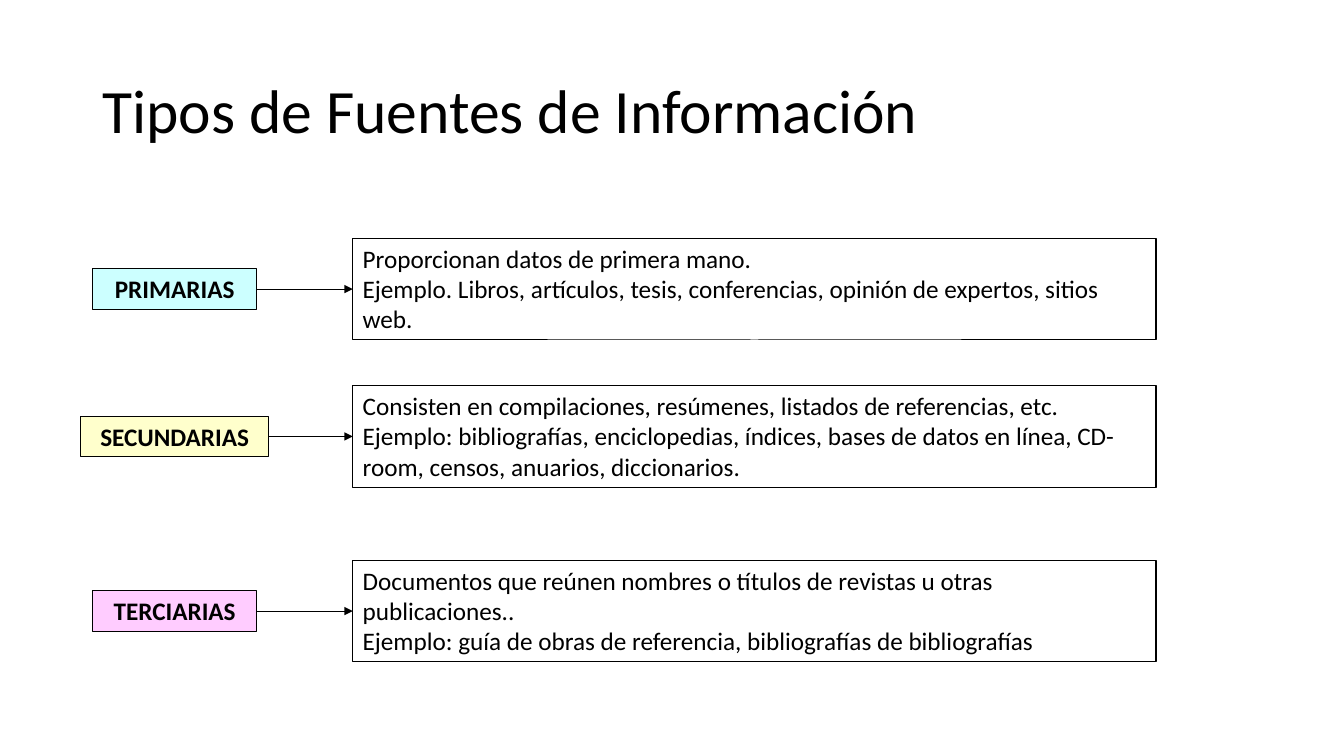
from lxml import etree
from pptx import Presentation, util as u
from pptx.dml.color import RGBColor
from pptx.enum import shapes, text
from pptx.oxml.ns import qn

LABEL_CENTER, LABEL_HEIGHT = 124.8, 29
DETAIL_LEFT, DETAIL_WIDTH, DETAIL_HEIGHT = 252, 573.8, 72.7


def color(value):
    return RGBColor.from_string(value)


def add_box(left, middle, width, height, lines, fill=None):
    shape = slide.shapes.add_shape(
        shapes.MSO_SHAPE.RECTANGLE,
        u.Pt(left), u.Pt(middle - height / 2), u.Pt(width), u.Pt(height))
    shape.shadow.inherit = False
    shape.line.color.rgb = color("000000")
    shape.line.width = u.Pt(0.75)
    if fill:
        shape.fill.solid()
        shape.fill.fore_color.rgb = color(fill)
    else:
        shape.fill.background()
    frame = shape.text_frame
    frame.word_wrap = True
    frame.auto_size = text.MSO_AUTO_SIZE.SHAPE_TO_FIT_TEXT
    frame.vertical_anchor = text.MSO_ANCHOR.TOP
    frame.text = "\n".join(lines)
    for paragraph in frame.paragraphs:
        paragraph.alignment = text.PP_ALIGN.CENTER if fill else text.PP_ALIGN.LEFT
        paragraph.font.name = "Calibri"
        paragraph.font.size = u.Pt(18)
        paragraph.font.bold = bool(fill)
        paragraph.font.color.rgb = color("000000")
    return shape


presentation = Presentation()
presentation.slide_width, presentation.slide_height = u.Pt(960), u.Pt(540)
slide = presentation.slides.add_slide(presentation.slide_layouts[6])

title = slide.shapes.add_textbox(u.Pt(66), u.Pt(28.75), u.Pt(828), u.Pt(104.4))
title.text_frame.word_wrap = True
title.text_frame.vertical_anchor = text.MSO_ANCHOR.MIDDLE
paragraph = title.text_frame.paragraphs[0]
paragraph.text = "Tipos de Fuentes de Información"
paragraph.line_spacing = 0.9
paragraph.font.name = "Calibri"
paragraph.font.size = u.Pt(44)
paragraph.font.color.rgb = color("000000")

sources = [
    ("PRIMARIAS", "CCFFFF", 117, 206.5, [
        "Proporcionan datos de primera mano.",
        "Ejemplo. Libros, artículos, tesis, conferencias, opinión de expertos, sitios web."]),
    ("SECUNDARIAS", "FFFFCC", 134.5, 311.75, [
        "Consisten en compilaciones, resúmenes, listados de referencias, etc.",
        "Ejemplo: bibliografías, enciclopedias, índices, bases de datos en línea, "
        "CD-room, censos, anuarios, diccionarios."]),
    ("TERCIARIAS", "FFCCFF", 117, 436.5, [
        "Documentos que reúnen nombres o títulos de revistas u otras publicaciones..",
        "Ejemplo: guía de obras de referencia, bibliografías de bibliografías"]),
]

for name, fill, width, middle, details in sources:
    label = add_box(LABEL_CENTER - width / 2, middle, width, LABEL_HEIGHT, [name], fill)
    detail = add_box(DETAIL_LEFT, middle, DETAIL_WIDTH, DETAIL_HEIGHT, details)
    arrow = slide.shapes.add_connector(
        shapes.MSO_CONNECTOR.STRAIGHT,
        u.Pt(LABEL_CENTER + width / 2), u.Pt(middle), u.Pt(DETAIL_LEFT), u.Pt(middle))
    arrow.begin_connect(label, 3)
    arrow.end_connect(detail, 1)
    arrow.line.color.rgb = color("000000")
    arrow.line.width = u.Pt(0.5)
    etree.SubElement(arrow.line._get_or_add_ln(), qn("a:tailEnd"), type="triangle")
    etree.SubElement(arrow._element.spPr, qn("a:effectLst"))

presentation.save("out.pptx")
